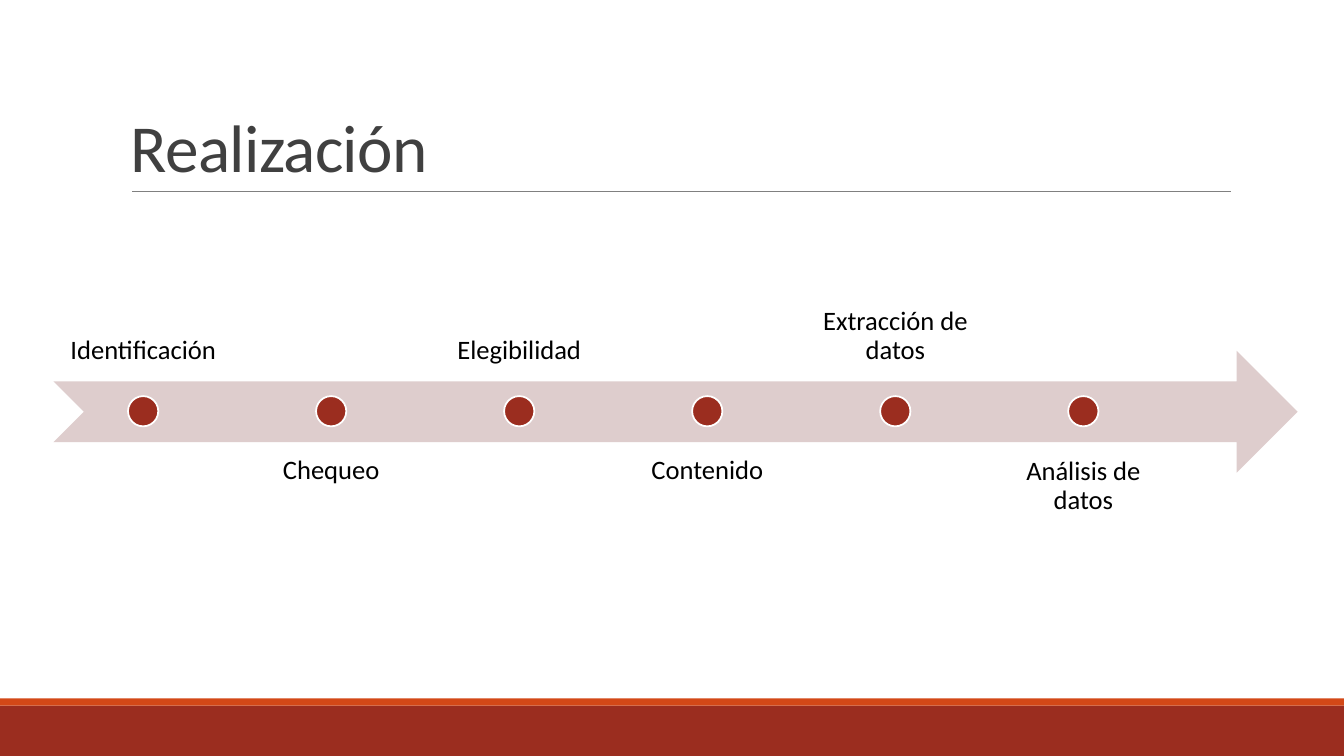
from dataclasses import dataclass

import pptx
import pptx.util
from lxml import etree
from pptx.dml.color import RGBColor
from pptx.enum.shapes import MSO_CONNECTOR, MSO_SHAPE
from pptx.enum.text import MSO_ANCHOR, PP_ALIGN
from pptx.oxml.ns import qn
from pptx.util import Inches


@dataclass(frozen=True)
class Theme:
    font: str = "Calibri"
    title_size: int = 48
    label_size: int = 19
    title_color: str = "404040"
    label_color: str = "000000"
    rule: str = "808080"
    brick: str = "9B2D1F"
    orange: str = "D34817"
    arrow: str = "DECDCD"
    white: str = "FFFFFF"


THEME = Theme()
STEPS = ["Identificación", "Chequeo", "Elegibilidad", "Contenido",
         "Extracción de datos", "Análisis de datos"]
FIRST_CENTER, STEP_PITCH = 1.42, 1.865
ARROW_MIDDLE, DOT_SIZE = 4.08, 0.3
LABEL_WIDTH, LABEL_HEIGHT = 1.78, 1.21
LABEL_TOPS = (2.56, 4.39)


def add_filled_shape(page, kind, left, top, width, height, color, outline=None):
    shape = page.shapes.add_shape(
        kind, Inches(left), Inches(top), Inches(width), Inches(height))
    shape.shadow.inherit = False
    shape.fill.solid()
    shape.fill.fore_color.rgb = RGBColor.from_string(color)
    if outline:
        shape.line.color.rgb = RGBColor.from_string(outline)
        shape.line.width = pptx.util.Pt(1.25)
    else:
        shape.line.fill.background()


def add_rule(page, left, right, top):
    rule = page.shapes.add_connector(
        MSO_CONNECTOR.STRAIGHT, Inches(left), Inches(top), Inches(right), Inches(top))
    rule.line.color.rgb = RGBColor.from_string(THEME.rule)
    rule.line.width = pptx.util.Pt(0.5)
    etree.SubElement(rule._element.spPr, qn("a:effectLst"))


def add_text(page, text, left, top, width, height, size, color, anchor,
             align, line_spacing, inset_x, inset_y):
    """Add a one-paragraph text box and return its run."""
    box = page.shapes.add_textbox(
        Inches(left), Inches(top), Inches(width), Inches(height))
    frame = box.text_frame
    frame.word_wrap = True
    frame.vertical_anchor = anchor
    frame.margin_left = frame.margin_right = Inches(inset_x)
    frame.margin_top = frame.margin_bottom = Inches(inset_y)
    para = frame.paragraphs[0]
    para.alignment = align
    para.line_spacing = line_spacing
    span = para.add_run()
    span.text = text
    span.font.name = THEME.font
    span.font.size = pptx.util.Pt(size)
    span.font.color.rgb = RGBColor.from_string(color)
    return span


def add_title(page, text):
    span = add_text(page, text, 1.2, 0.31, 11, 1.59, THEME.title_size,
                    THEME.title_color, MSO_ANCHOR.BOTTOM, PP_ALIGN.LEFT,
                    0.85, 0.1, 0.05)
    span.font._element.set("spc", "-50")


def add_step(page, index, text):
    """Add a dot on the arrow, with its label above or below by turns."""
    center = FIRST_CENTER + index * STEP_PITCH
    below = index % 2
    anchor = MSO_ANCHOR.TOP if below else MSO_ANCHOR.BOTTOM
    add_text(page, text, center - LABEL_WIDTH / 2, LABEL_TOPS[below],
             LABEL_WIDTH, LABEL_HEIGHT, THEME.label_size, THEME.label_color,
             anchor, PP_ALIGN.CENTER, 0.9, 0.15, 0.15)
    add_filled_shape(page, MSO_SHAPE.OVAL, center - DOT_SIZE / 2,
                     ARROW_MIDDLE - DOT_SIZE / 2, DOT_SIZE, DOT_SIZE,
                     THEME.brick, THEME.white)


def main():
    deck = pptx.Presentation()
    deck.slide_width, deck.slide_height = Inches(13.33), Inches(7.5)
    page = deck.slides.add_slide(deck.slide_layouts[6])
    add_filled_shape(page, MSO_SHAPE.RECTANGLE, 0, 7, 13.33, 0.5, THEME.brick)
    add_filled_shape(page, MSO_SHAPE.RECTANGLE, 0, 6.93, 13.33, 0.07, THEME.orange)
    add_rule(page, 1.31, 12.21, 1.9)
    add_title(page, "Realización")
    add_filled_shape(page, MSO_SHAPE.NOTCHED_RIGHT_ARROW, 0.53, 3.48, 12.34, 1.21,
                     THEME.arrow)
    for index, text in enumerate(STEPS):
        add_step(page, index, text)
    deck.save("out.pptx")


if __name__ == "__main__":
    main()
